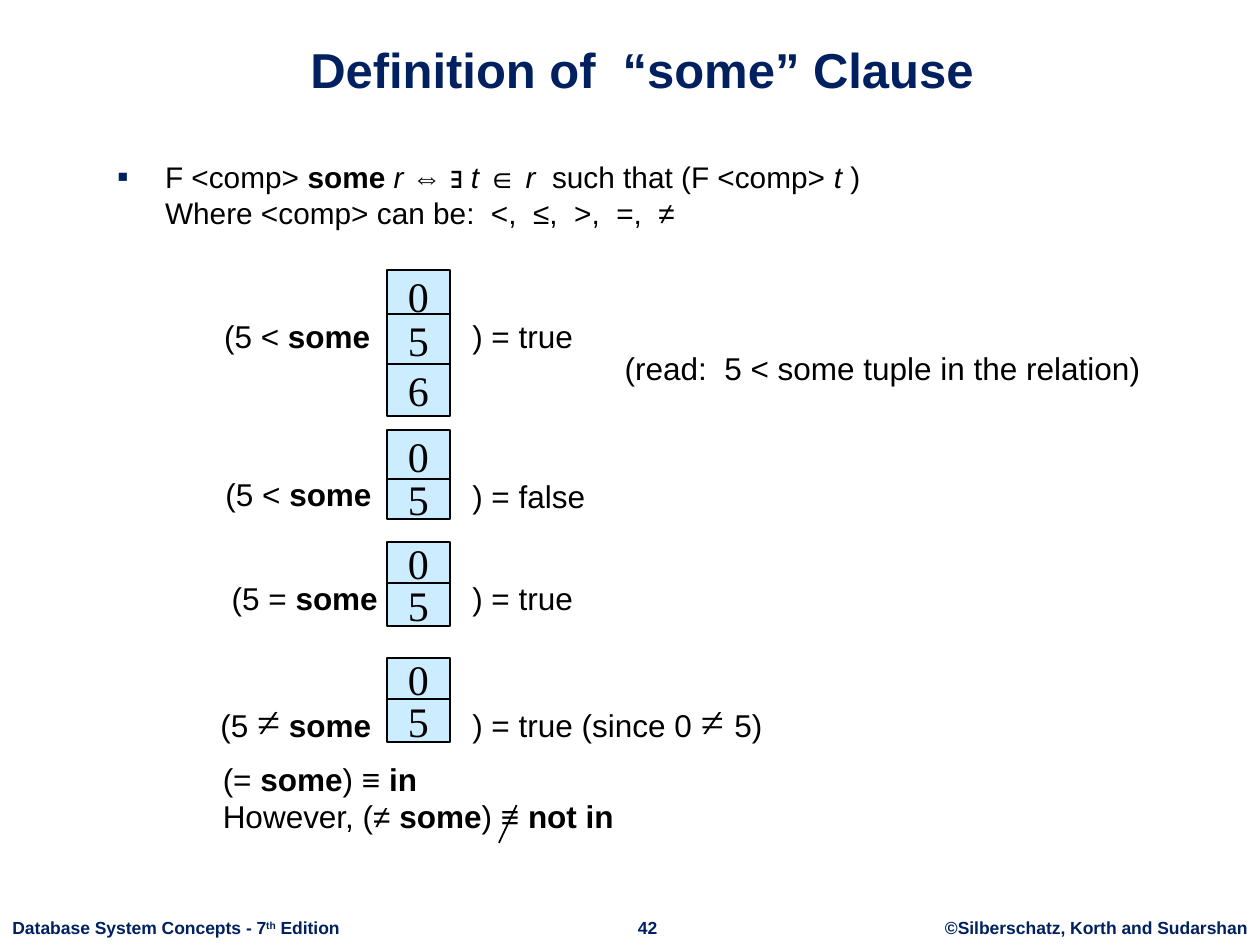
from lxml import etree
from pptx import Presentation
from pptx import util as u
from pptx.dml.color import RGBColor
from pptx.enum import shapes, text
from pptx.oxml.ns import qn

SCALE = 9144  # EMU in one px, 100 px to the inch
HUES = {"navy": "002060", "ink": "000000", "cell": "CCECFF"}
BASE = {"name": "Arial", "size": 18, "bold": False, "italic": False, "hue": "ink"}
MARKS = {
    "b": {"bold": True},
    "i": {"italic": True},
    "t": {"name": "Times New Roman", "size": 24},
}
FOOT = {"size": 10, "bold": True, "hue": "navy"}
NONE, GROW = text.MSO_AUTO_SIZE.NONE, text.MSO_AUTO_SIZE.SHAPE_TO_FIT_TEXT
LEFT, MID = text.PP_ALIGN.LEFT, text.PP_ALIGN.CENTER


def px(n):
    return u.Emu(n * SCALE)


def rgb(hue):
    return RGBColor.from_string(HUES[hue])


class Deck:
    def __init__(self):
        self.prs = Presentation()
        self.prs.slide_width, self.prs.slide_height = px(1000), px(750)
        self.slide = self.prs.slides.add_slide(self.prs.slide_layouts[1])

    def fill_para(self, para, runs, look=None, align=LEFT):
        """Add (text, marks) runs; the mark ^ raises a run and a newline breaks it."""
        para.alignment = align
        for words, marks in runs:
            if words == "\n":
                para.add_line_break()
                continue
            run = para.add_run()
            run.text = words
            vals = {**BASE, **(look or {})}
            for mark in marks.replace("^", ""):
                vals.update(MARKS[mark])
            run.font.color.rgb = rgb(vals.pop("hue"))
            vals["size"] = u.Pt(vals["size"])
            for key, val in vals.items():
                setattr(run.font, key, val)
            if "^" in marks:
                run._r.get_or_add_rPr().set("baseline", "30000")

    def place(self, item, box):
        for key, val in zip(("left", "top", "width", "height"), box):
            setattr(item, key, px(val))

    def title(self, box, words):
        item = self.slide.shapes.title
        self.place(item, box)
        frame = item.text_frame
        frame.auto_size, frame.vertical_anchor = NONE, text.MSO_ANCHOR.BOTTOM
        look = {"size": 28, "bold": True, "hue": "navy"}
        self.fill_para(frame.paragraphs[0], [(words, "")], look, MID)

    def body(self, box, runs):
        item = self.slide.placeholders[1]
        self.place(item, box)
        item.text_frame.auto_size = NONE
        para = item.text_frame.paragraphs[0]
        self.fill_para(para, runs, {"size": 17})
        props = para._p.get_or_add_pPr()
        props.set("marL", str(px(38)))
        props.set("indent", str(px(-38)))
        tint = etree.SubElement(props, qn("a:buClr"))
        etree.SubElement(tint, qn("a:srgbClr")).set("val", HUES["navy"])
        etree.SubElement(props, qn("a:buSzPct")).set("val", "110000")
        etree.SubElement(props, qn("a:buChar")).set("char", "▪")

    def label(self, box, *lines, look=None, align=LEFT, wrap=True):
        frame = self.slide.shapes.add_textbox(*map(px, box)).text_frame
        frame.word_wrap, frame.auto_size = wrap, GROW
        for n, runs in enumerate(lines):
            para = frame.add_paragraph() if n else frame.paragraphs[0]
            self.fill_para(para, runs, look, align)

    def cell(self, box, words):
        item = self.slide.shapes.add_shape(shapes.MSO_SHAPE.RECTANGLE, *map(px, box))
        item.shadow.inherit = False
        item.fill.solid()
        item.fill.fore_color.rgb = rgb("cell")
        item.line.color.rgb, item.line.width = rgb("ink"), u.Pt(1)
        frame = item.text_frame
        frame.word_wrap, frame.vertical_anchor = False, text.MSO_ANCHOR.MIDDLE
        self.fill_para(frame.paragraphs[0], [(words, "t")], align=MID)

    def stroke(self, *ends):
        item = self.slide.shapes.add_connector(
            shapes.MSO_CONNECTOR.STRAIGHT, *map(px, ends))
        item.line.color.rgb, item.line.width = rgb("ink"), u.Pt(1)
        etree.SubElement(item._element.spPr, qn("a:effectLst"))


# Cells as (top, height, value), then the texts to their left and right
CASES = [
    ([(214, 41, "0"), (249, 41, "5"), (289, 41, "6")],
     (168, 247, 148, 40), [("(5 < ", ""), ("some", "b")],
     (365, 247, 100, 40), [(") = true", "")]),
    ([(341, 42, "0"), (380, 32, "5")],
     (169, 372, 151, 40), [("(5 < ", ""), ("some", "b")],
     (365, 374, 133, 40), [(") = false", "")]),
    ([(430, 34, "0"), (463, 34, "5")],
     (174, 455, 167, 40), [("(5 = ", ""), ("some", "b")],
     (365, 455, 133, 40), [(") = true", "")]),
    ([(522, 34, "0"), (555, 34, "5")],
     (165, 547, 158, 50), [("(5 ", ""), ("≠", "t"), (" ", ""), ("some", "b")],
     (365, 547, 275, 50), [(") = true (since 0 ", ""), ("≠ ", "t"), ("5)", "")]),
]
FEET = [
    ((740, 723, 260, 27), [("©Silberschatz, Korth and Sudarshan", "")], MID),
    ((492, 723, 44, 27), [("42", "")], MID),
    ((0, 723, 281, 27),
     [("Database System Concepts - 7", ""), ("th", "^"), (" Edition", "")], LEFT),
]


def main():
    deck = Deck()
    deck.title((68, 16, 883, 67), "Definition of  “some” Clause")
    deck.body((83, 121, 744, 78), [
        ("F <comp> ", ""), ("some ", "b"), ("r ", "i"), ("⇔ ∃ ", ""), ("t ", "i"),
        ("∈", ""), (" r  ", "i"), ("such that (F <comp> ", ""), ("t ", "i"),
        (")", ""), ("\n", ""), ("Where <comp> can be:  <,  ≤,  >,  =,  ≠", "")])
    for box, runs, align in FEET:
        deck.label(box, runs, look=FOOT, align=align, wrap=False)
    for cells, lbox, lhs, rbox, rhs in CASES:
        for top, high, value in cells:
            deck.cell((307, top, 50, high), value)
        deck.label(lbox, lhs)
        deck.label(rbox, rhs)
    deck.label((486, 272, 533, 40), [("(read:  5 < some tuple in the relation)", "")])
    deck.label((167, 598, 744, 78),
               [("(= ", ""), ("some", "b"), (") ≡ ", ""), ("in", "b")],
               [("However, (≠ ", ""), ("some", "b"), (") ≡ ", ""), ("not in", "b")])
    deck.stroke(410, 639, 396, 669)
    deck.prs.save("out.pptx")


if __name__ == "__main__":
    main()
